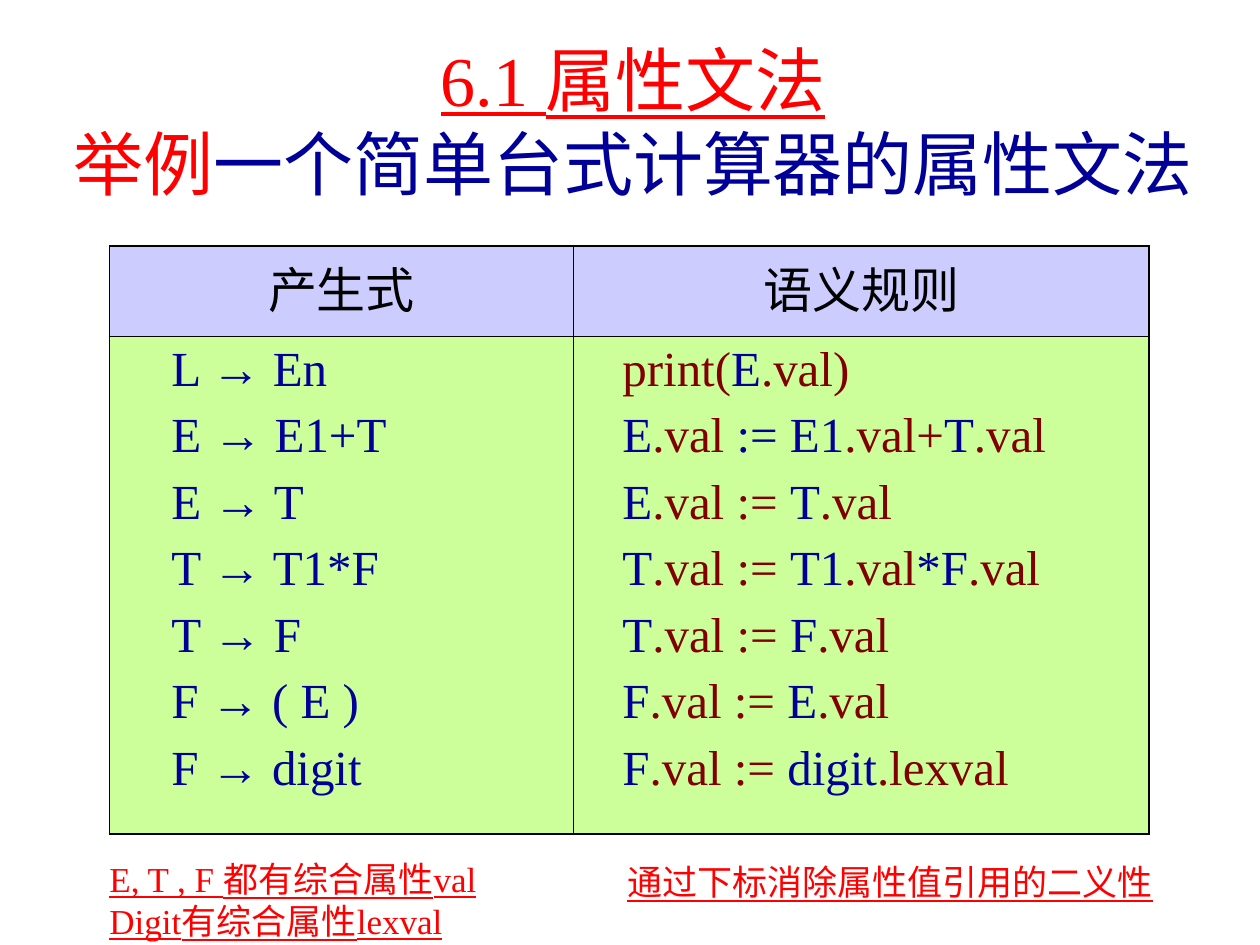
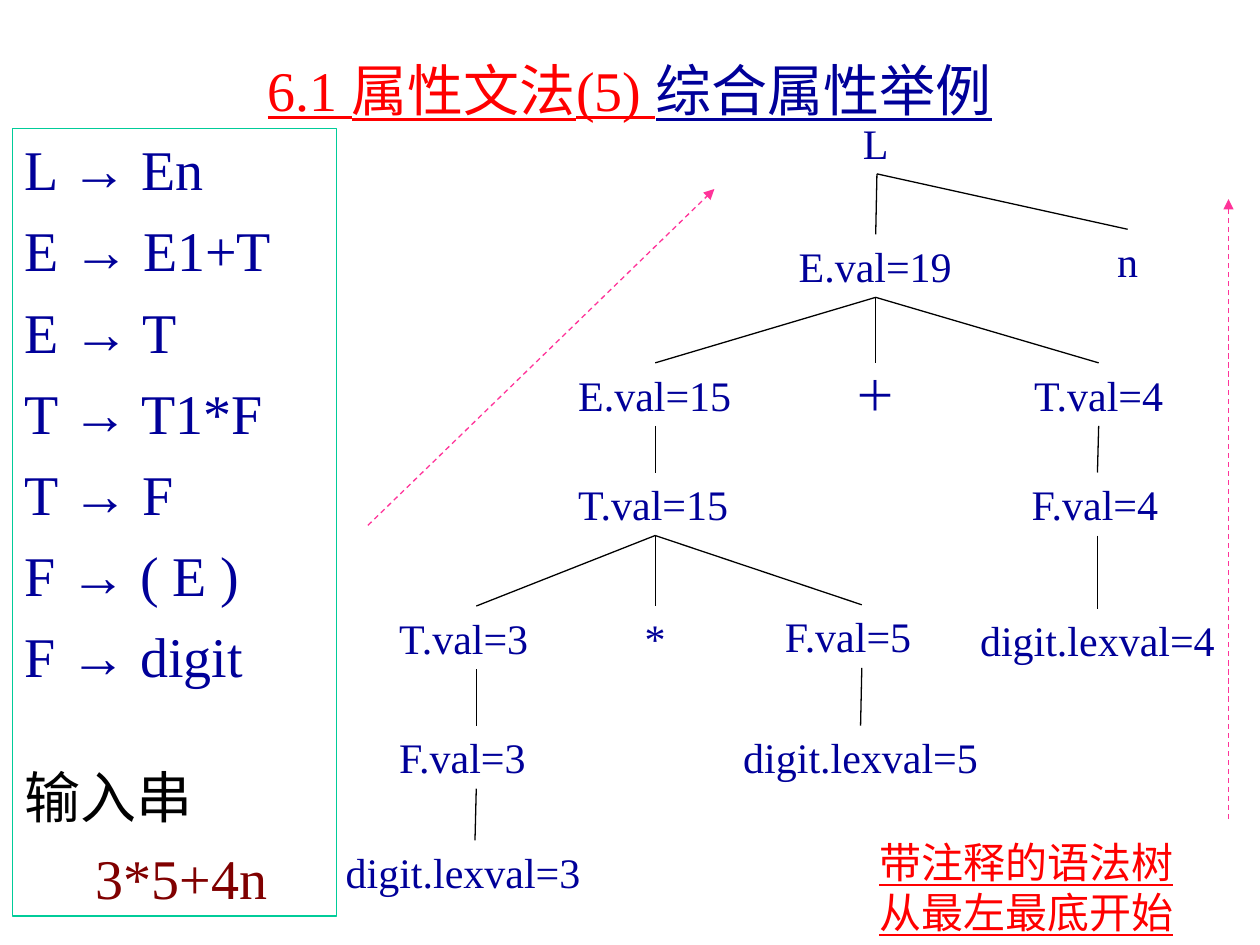
from itertools import cycle

from lxml import etree
from pptx import Presentation
from pptx.dml.color import RGBColor
from pptx.enum import dml, shapes, text
from pptx.oxml import ns
from pptx.util import Inches, Pt

FONT = "Times New Roman"
RED = RGBColor(0xFF, 0x00, 0x00)
NAVY = RGBColor(0x00, 0x00, 0x99)
MAROON = RGBColor(0x80, 0x00, 0x00)
BLACK = RGBColor(0x00, 0x00, 0x00)
PINK = RGBColor(0xFF, 0x33, 0x99)
TEAL = RGBColor(0x00, 0xCC, 0x99)
HEADER_FILL = RGBColor(0xCC, 0xCC, 0xFF)
BODY_FILL = RGBColor(0xCC, 0xFF, 0x99)

LEFT, CENTER = text.PP_ALIGN.LEFT, text.PP_ALIGN.CENTER
TITLE_ONLY = 5
NODE_HEIGHT = 0.5

PRODUCTIONS = ["L → En", "E → E1+T", "E → T", "T → T1*F", "T → F", "F → ( E )", "F → digit"]

# Pieces between bars alternate between navy and maroon.
SEMANTIC_RULES = [
    "|print(|E|.val)",
    "E|.val |:= E1|.val+|T|.val",
    "E|.val := |T|.val",
    "T|.val := |T1|.val|*F|.val",
    "T|.val := |F|.val",
    "F|.val := |E|.val",
    "F|.val := |digit|.lexval",
]

# Key: label, centre x, top, width, alignment
TREE_NODES = {
    "L": ("L", 6.96, 0.88, 0.42, LEFT),
    "E19": ("E.val=19", 6.95, 1.86, 1.42, LEFT),
    "n": ("n", 8.95, 1.82, 1.42, CENTER),
    "E15": ("E.val=15", 5.2, 2.88, 1.42, LEFT),
    "plus": ("＋", 6.95, 2.88, 1.42, CENTER),
    "T4": ("T.val=4", 8.72, 2.88, 1.42, CENTER),
    "T15": ("T.val=15", 5.2, 3.75, 1.42, LEFT),
    "F4": ("F.val=4", 8.71, 3.75, 1.24, LEFT),
    "T3": ("T.val=3", 3.78, 4.81, 1.42, LEFT),
    "times": ("*", 5.2, 4.81, 1.42, CENTER),
    "F5": ("F.val=5", 6.84, 4.8, 1.42, LEFT),
    "digit4": ("digit.lexval=4", 8.71, 4.83, 2.17, CENTER),
    "F3": ("F.val=3", 3.78, 5.76, 1.42, LEFT),
    "digit5": ("digit.lexval=5", 6.83, 5.76, 2.25, CENTER),
    "digit3": ("digit.lexval=3", 3.77, 6.67, 2.25, LEFT),
}
TREE_CHILDREN = {
    "L": ["E19", "n"],
    "E19": ["E15", "plus", "T4"],
    "E15": ["T15"],
    "T4": ["F4"],
    "T15": ["T3", "times", "F5"],
    "F4": ["digit4"],
    "T3": ["F3"],
    "F3": ["digit3"],
    "F5": ["digit5"],
}


def add_run(paragraph, content, size, color, underline=False):
    run = paragraph.add_run()
    run.text = content
    run.font.name = FONT
    run.font.size = Pt(size)
    run.font.color.rgb = color
    run.font.underline = underline


def next_paragraph(frame, space_before=0, indent=0, align=LEFT):
    """Return the empty first paragraph, or a new one set off from the last."""
    paragraph = frame.paragraphs[0]
    if paragraph.runs:
        paragraph = frame.add_paragraph()
        paragraph.space_before = Pt(space_before)
    paragraph.alignment = align
    if indent:
        properties = paragraph._p.get_or_add_pPr()
        properties.set("marL", str(Inches(indent)))
        properties.set("indent", "0")
    return paragraph


def add_titled_slide(presentation, box, size, lines):
    """Add a slide whose title lines are lists of (text, color, underline)."""
    slide = presentation.slides.add_slide(presentation.slide_layouts[TITLE_ONLY])
    title = slide.shapes.title
    title.left, title.top, title.width, title.height = map(Inches, box)
    frame = title.text_frame
    frame.auto_size = text.MSO_AUTO_SIZE.NONE
    frame.vertical_anchor = text.MSO_ANCHOR.MIDDLE
    paragraph = next_paragraph(frame, align=CENTER)
    for index, line in enumerate(lines):
        if index:
            paragraph.add_line_break()
        for content, color, underline in line:
            add_run(paragraph, content, size, color, underline)
    return slide


def add_text(slide, box, lines, size, color, align=LEFT, underline=False, wrap=True):
    shape = slide.shapes.add_textbox(*map(Inches, box))
    shape.text_frame.word_wrap = wrap
    for line in lines:
        paragraph = next_paragraph(shape.text_frame, align=align)
        add_run(paragraph, line, size, color, underline)


def add_line(slide, start, end, color=BLACK, arrow=False):
    """Draw a thin line; an arrow is dashed with a triangle at its end."""
    connector = slide.shapes.add_connector(
        shapes.MSO_CONNECTOR.STRAIGHT, *map(Inches, (*start, *end)))
    connector.line.color.rgb = color
    connector.line.width = Pt(0.75)
    if arrow:
        connector.line.dash_style = dml.MSO_LINE.DASH
        outline = connector.line._get_or_add_ln()
        etree.SubElement(outline, ns.qn("a:tailEnd"), type="triangle")
    etree.SubElement(connector._element.spPr, ns.qn("a:effectLst"))


def set_borders(cell, widths):
    """Give the cell black borders, in the order left, right, top, bottom."""
    properties = cell._tc.get_or_add_tcPr()
    for position, (side, width) in enumerate(zip("LRTB", widths)):
        border = etree.Element(ns.qn(f"a:ln{side}"), w=str(Pt(width)))
        fill = etree.SubElement(border, ns.qn("a:solidFill"))
        etree.SubElement(fill, ns.qn("a:srgbClr"), val=str(BLACK))
        properties.insert(position, border)


def add_grammar_table(slide):
    frame = slide.shapes.add_table(2, 2, *map(Inches, (0.87, 1.95, 8.25, 4.67)))
    table = frame.table
    for column, width in zip(table.columns, (3.68, 4.57)):
        column.width = Inches(width)
    for row, height in zip(table.rows, (0.72, 3.95)):
        row.height = Inches(height)

    outer, inner = 1.08, 0.45
    for row in range(2):
        for column in range(2):
            cell = table.cell(row, column)
            cell.fill.solid()
            cell.fill.fore_color.rgb = BODY_FILL if row else HEADER_FILL
            set_borders(cell, (inner if column else outer, outer if column else inner,
                               inner if row else outer, outer if row else inner))

    for column, heading in enumerate(("产生式", "语义规则")):
        paragraph = next_paragraph(table.cell(0, column).text_frame, align=CENTER)
        add_run(paragraph, heading, 28, BLACK)
    for production, rule in zip(PRODUCTIONS, SEMANTIC_RULES):
        paragraph = next_paragraph(table.cell(1, 0).text_frame, 7, 0.39)
        add_run(paragraph, production, 28, NAVY)
        paragraph = next_paragraph(table.cell(1, 1).text_frame, 7, 0.29)
        for piece, color in zip(rule.split("|"), cycle((NAVY, MAROON))):
            if piece:
                add_run(paragraph, piece, 28, color)


def add_grammar_panel(slide):
    panel = slide.shapes.add_shape(
        shapes.MSO_SHAPE.RECTANGLE, *map(Inches, (0.1, 1.02, 2.57, 6.25)))
    panel.shadow.inherit = False
    panel.fill.background()
    panel.line.color.rgb = TEAL
    panel.line.width = Pt(0.75)
    frame = panel.text_frame
    frame.word_wrap = True
    frame.vertical_anchor = text.MSO_ANCHOR.TOP
    for production in PRODUCTIONS:
        add_run(next_paragraph(frame, 8), production, 32, NAVY)
    add_run(next_paragraph(frame, 42), "输入串", 32, BLACK)
    add_run(next_paragraph(frame, 8, 0.56), "3*5+4n", 32, MAROON)


def add_syntax_tree(slide):
    for label, center, top, width, align in TREE_NODES.values():
        box = (center - width / 2, top, width, NODE_HEIGHT)
        add_text(slide, box, [label], 24, NAVY, align)
    for parent, children in TREE_CHILDREN.items():
        _, parent_x, parent_top, *_ = TREE_NODES[parent]
        for child in children:
            _, child_x, child_top, *_ = TREE_NODES[child]
            add_line(slide, (parent_x, parent_top + NODE_HEIGHT), (child_x, child_top))


def build_grammar_slide(presentation):
    slide = add_titled_slide(presentation, (0.4, 0.33, 9.25, 1.25), 40, [
        [("6.1 属性文法", RED, True)],
        [("举例", RED, False), ("一个简单台式计算器的属性文法", NAVY, False)],
    ])
    add_grammar_table(slide)
    add_text(slide, (4.88, 6.78, 5, 0.44), ["通过下标消除属性值引用的二义性"],
             20, RED, underline=True)
    add_text(slide, (0.77, 6.76, 3.25, 0.77),
             ["E, T , F 都有综合属性val", "Digit有综合属性lexval"],
             20, RED, underline=True, wrap=False)


def build_tree_slide(presentation):
    slide = add_titled_slide(presentation, (0.75, 0.33, 8.5, 0.75), 32, [
        [("6.1 属性文法(5) ", RED, True), ("综合属性举例", NAVY, True)],
    ])
    add_grammar_panel(slide)
    add_syntax_tree(slide)
    add_line(slide, (2.92, 4.17), (5.67, 1.5), PINK, arrow=True)
    add_line(slide, (9.75, 6.5), (9.75, 1.58), PINK, arrow=True)
    add_text(slide, (6.88, 6.59, 2.53, 0.9), ["带注释的语法树", "从最左最底开始"],
             24, RED, underline=True, wrap=False)


def main():
    presentation = Presentation()
    presentation.slide_width = Inches(10)
    presentation.slide_height = Inches(7.5)
    build_grammar_slide(presentation)
    build_tree_slide(presentation)
    presentation.save("out.pptx")


if __name__ == "__main__":
    main()
